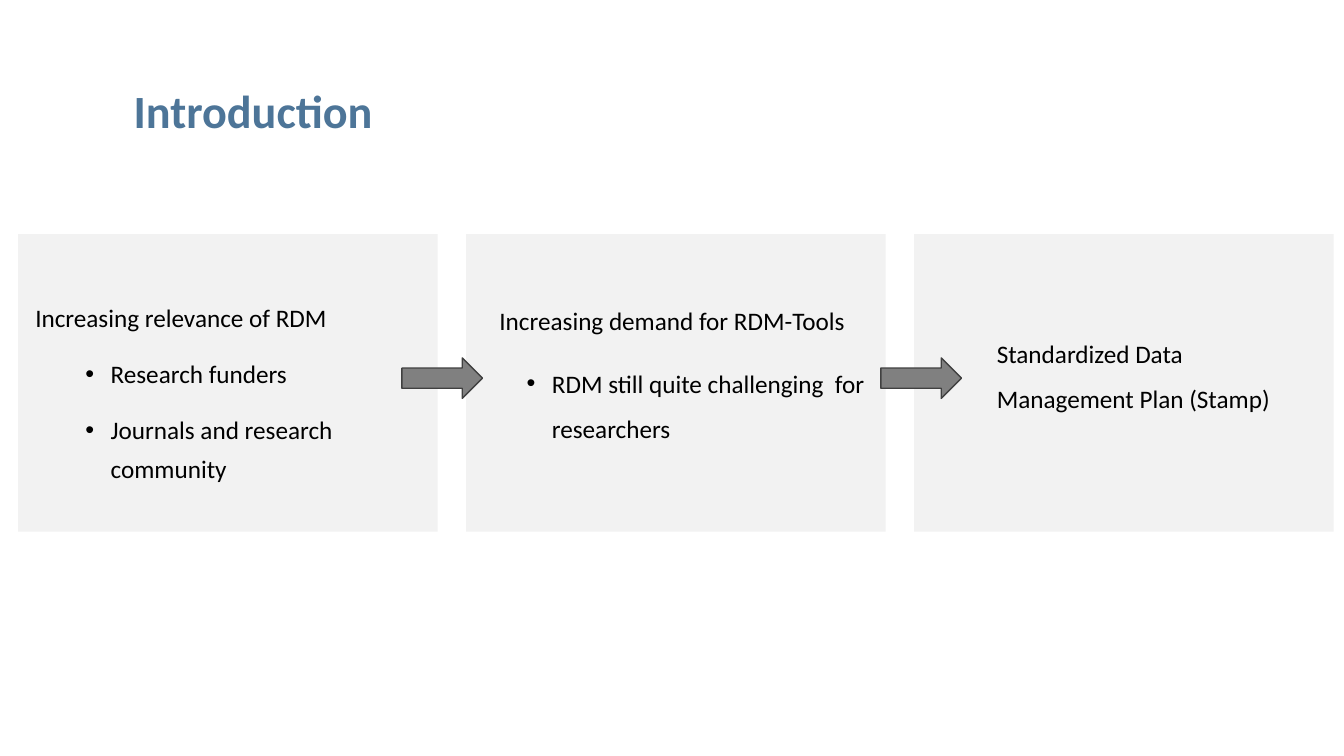
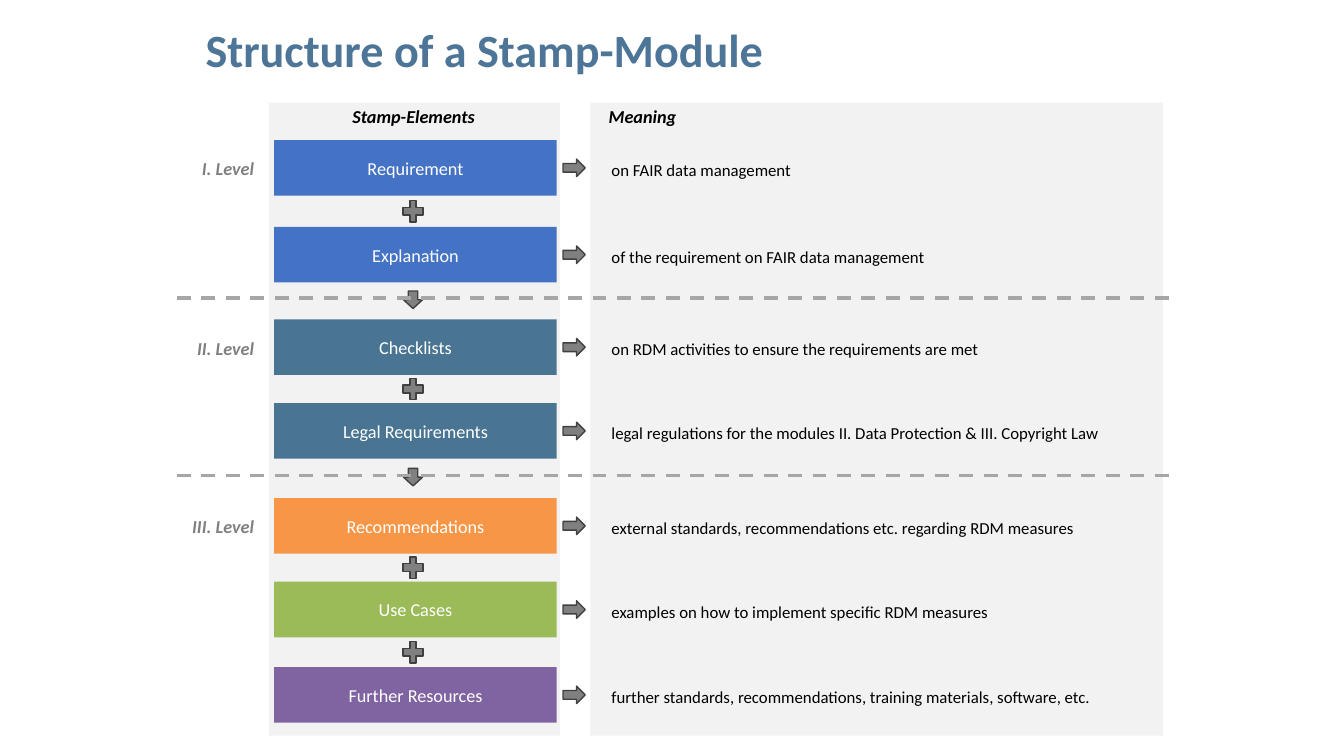
from pptx import Presentation
from pptx.dml.color import RGBColor
from pptx.enum.dml import MSO_LINE
from pptx.enum.shapes import MSO_CONNECTOR, MSO_SHAPE
from pptx.enum.text import MSO_ANCHOR, PP_ALIGN
from pptx.oxml.ns import qn
from pptx.util import Cm, Pt
from lxml.etree import SubElement

FONT = "Calibri"
BLACK = RGBColor(0x00, 0x00, 0x00)
WHITE = RGBColor(0xFF, 0xFF, 0xFF)
TITLE_BLUE = RGBColor(0x4D, 0x75, 0x98)
PANEL_GREY = RGBColor(0xF2, 0xF2, 0xF2)
ARROW_GREY = RGBColor(0x80, 0x80, 0x80)
ARROW_EDGE = RGBColor(0x40, 0x40, 0x40)
DIVIDER_GREY = RGBColor(0xA6, 0xA6, 0xA6)
BLUE = RGBColor(0x44, 0x72, 0xC4)
TEAL = RGBColor(0x49, 0x75, 0x93)
ORANGE = RGBColor(0xF7, 0x96, 0x46)
GREEN = RGBColor(0x9B, 0xBB, 0x59)
PURPLE = RGBColor(0x80, 0x64, 0xA2)

PANEL_LEFT, PANEL_STEP = 0.46, 11.29
ELEMENT_LEFT, ELEMENT_WIDTH, ELEMENT_HEIGHT = 6.91, 7.12, 1.4
MARK_CENTER = 10.41

LEVELS = [
    ("I. Level", [
        (3.53, "Requirement", BLUE, "on FAIR data management"),
        (5.72, "Explanation", BLUE, "of the requirement on FAIR data management"),
    ]),
    ("II. Level", [
        (8.05, "Checklists", TEAL, "on RDM activities to ensure the requirements are met"),
        (10.16, "Legal Requirements", TEAL,
         "legal regulations for the modules II. Data Protection & III. Copyright Law"),
    ]),
    ("III. Level", [
        (12.55, "Recommendations", ORANGE,
         "external standards, recommendations etc. regarding RDM measures"),
        (14.66, "Use Cases", GREEN, "examples on how to implement specific RDM measures"),
        (16.81, "Further Resources", PURPLE,
         "further standards, recommendations, training materials, software, etc."),
    ]),
]


def add_bullet(paragraph):
    properties = paragraph._p.get_or_add_pPr()
    properties.set("marL", str(Cm(1.9)))
    properties.set("indent", str(-Cm(0.64)))
    SubElement(properties, qn("a:buFont")).set("typeface", "Arial")
    SubElement(properties, qn("a:buChar")).set("char", "•")


def write(shape, text, size=13, color=BLACK, bold=False, italic=False,
          align=PP_ALIGN.LEFT, anchor=MSO_ANCHOR.TOP, spacing=1.0, gap=0, bullets=()):
    frame = shape.text_frame
    frame.word_wrap = True
    frame.vertical_anchor = anchor
    for index, line in enumerate((text, *bullets)):
        paragraph = frame.add_paragraph() if index else frame.paragraphs[0]
        paragraph.line_spacing = spacing
        paragraph.alignment = PP_ALIGN.LEFT if index else align
        if index:
            add_bullet(paragraph)
            paragraph.space_before = Pt(gap)
        run = paragraph.add_run()
        run.text = line
        run.font.name = FONT
        run.font.size = Pt(size)
        run.font.bold = bold
        run.font.italic = italic
        run.font.color.rgb = color


def add_text(slide, left, top, width, height, text, **style):
    box = slide.shapes.add_textbox(Cm(left), Cm(top), Cm(width), Cm(height))
    write(box, text, **style)


def add_block(slide, kind, left, top, width, height, fill, edge=None):
    block = slide.shapes.add_shape(kind, Cm(left), Cm(top), Cm(width), Cm(height))
    block.shadow.inherit = False
    block.fill.solid()
    block.fill.fore_color.rgb = fill
    if edge is None:
        block.line.fill.background()
    else:
        block.line.color.rgb = edge
        block.line.width = Pt(1)
    return block


def add_panel(slide, left, top, width, height):
    add_block(slide, MSO_SHAPE.RECTANGLE, left, top, width, height, PANEL_GREY)


def add_mark(slide, kind, left, top, width, height):
    return add_block(slide, kind, left, top, width, height, ARROW_GREY, ARROW_EDGE)


def add_title(slide, left, top, width, height, text):
    add_text(slide, left, top, width, height, text, size=33, color=TITLE_BLUE,
             bold=True, anchor=MSO_ANCHOR.MIDDLE, spacing=0.9)


def add_plus(slide, middle):
    plus = add_mark(slide, MSO_SHAPE.CROSS, MARK_CENTER - 0.25, middle - 0.27, 0.5, 0.54)
    plus.adjustments[0] = 0.345


def add_divider(slide, middle):
    add_mark(slide, MSO_SHAPE.DOWN_ARROW, MARK_CENTER - 0.24, middle - 0.25, 0.48, 0.44)
    divider = slide.shapes.add_connector(
        MSO_CONNECTOR.STRAIGHT, Cm(4.46), Cm(middle - 0.07), Cm(29.64), Cm(middle - 0.07))
    divider.line.color.rgb = DIVIDER_GREY
    divider.line.width = Pt(2.5)
    divider.line.dash_style = MSO_LINE.DASH
    SubElement(divider._element.spPr, qn("a:effectLst"))


def add_element(slide, top, name, color, meaning):
    element = add_block(slide, MSO_SHAPE.RECTANGLE, ELEMENT_LEFT, top,
                        ELEMENT_WIDTH, ELEMENT_HEIGHT, color)
    write(element, name, color=WHITE, align=PP_ALIGN.CENTER, anchor=MSO_ANCHOR.MIDDLE)
    add_mark(slide, MSO_SHAPE.RIGHT_ARROW, 14.19, top + 0.48, 0.56, 0.44)
    add_text(slide, 15.16, top + 0.37, 14.2, 0.76, meaning, size=12)


def build_introduction(slide):
    add_title(slide, 3.12, 1.02, 28.4, 3.68, "Introduction")
    for column in range(3):
        add_panel(slide, PANEL_LEFT + column * PANEL_STEP, 5.9, 10.57, 7.5)
    add_text(slide, 0.64, 7.26, 10.21, 5.3, "Increasing relevance of RDM",
             size=18, spacing=1.3, gap=12,
             bullets=["Research funders", "Journals and research community"])
    add_text(slide, 11.76, 7.2, 10.36, 4.7, "Increasing demand for RDM-Tools",
             size=18, align=PP_ALIGN.CENTER, spacing=1.5, gap=12,
             bullets=["RDM still quite challenging  for researchers"])
    add_text(slide, 24.87, 7.85, 8.08, 2.87, "Standardized Data Management Plan (Stamp)",
             size=18, anchor=MSO_ANCHOR.MIDDLE, spacing=1.5)
    for left in (10.13, 22.2):
        add_mark(slide, MSO_SHAPE.RIGHT_ARROW, left, 9.02, 2.03, 1.02)


def build_module_structure(slide):
    add_panel(slide, 6.78, 2.59, 7.34, 15.95)
    add_panel(slide, 14.88, 2.59, 14.43, 15.95)
    add_title(slide, 4.93, 0.53, 23.9, 1.57, "Structure of a Stamp-Module")
    add_text(slide, 6.78, 2.54, 7.29, 0.81, "Stamp-Elements",
             bold=True, italic=True, align=PP_ALIGN.CENTER)
    add_text(slide, 15.09, 2.54, 14.2, 0.81, "Meaning", bold=True, italic=True)
    previous_bottom = None
    for level, elements in LEVELS:
        add_text(slide, 4.47, elements[0][0] + 0.32, 2.18, 0.81, level,
                 color=ARROW_GREY, bold=True, italic=True, align=PP_ALIGN.RIGHT)
        for index, (top, name, color, meaning) in enumerate(elements):
            if previous_bottom is not None:
                add_joint = add_plus if index else add_divider
                add_joint(slide, (previous_bottom + top) / 2)
            add_element(slide, top, name, color, meaning)
            previous_bottom = top + ELEMENT_HEIGHT


def main():
    deck = Presentation()
    deck.slide_width = Cm(33.87)
    deck.slide_height = Cm(19.05)
    for build in (build_introduction, build_module_structure):
        build(deck.slides.add_slide(deck.slide_layouts[6]))
    deck.save("out.pptx")


if __name__ == "__main__":
    main()
